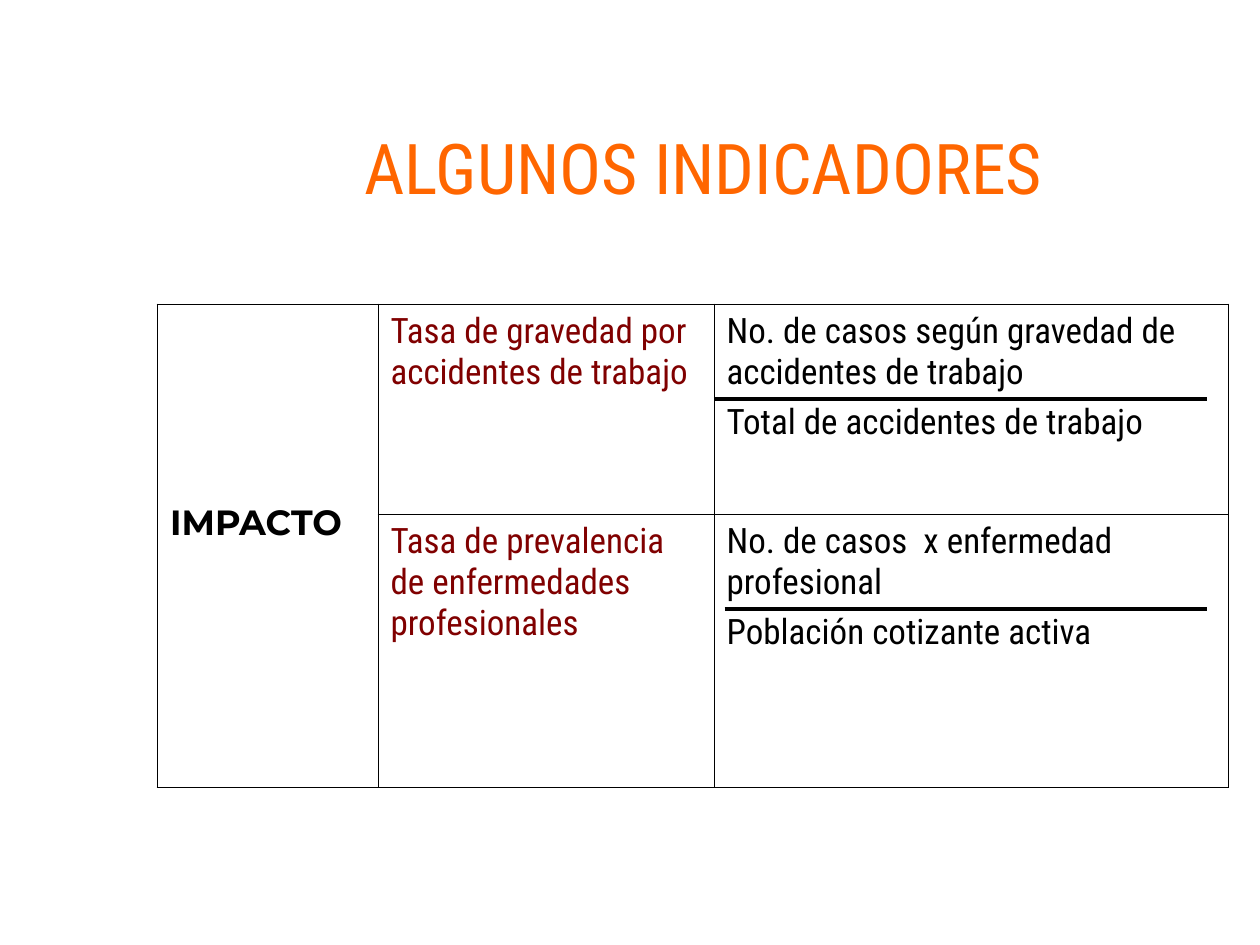
from dataclasses import dataclass

import pptx
import pptx.dml.color
import pptx.enum.shapes
import pptx.enum.text
import pptx.oxml
import pptx.oxml.ns
import pptx.util

Pt = pptx.util.Pt
ALIGN = pptx.enum.text.PP_ALIGN
ANCHOR = pptx.enum.text.MSO_ANCHOR

BODY_FONT = "Roboto Condensed"
LABEL_FONT = "Montserrat"
BLACK, MAROON, ORANGE = "000000", "800000", "FF6600"
OUTER_BORDER, INNER_BORDER = 1.08, 0.45
TABLE_LEFT, TABLE_TOP = 90, 174
COLUMN_WIDTHS = [126, 192, 294]
ROW_HEIGHTS = [120, 156]


@dataclass
class Indicator:
    name: str
    numerator: str
    denominator: str


@dataclass
class FractionBar:
    left: float
    right: float
    y: float


INDICATORS = [
    Indicator("Tasa de gravedad por accidentes de trabajo",
              "No. de casos según gravedad de accidentes de trabajo",
              "Total de accidentes de trabajo"),
    Indicator("Tasa de prevalencia de enfermedades profesionales",
              "No. de casos  x enfermedad profesional",
              "Población cotizante activa"),
]
FRACTION_BARS = [FractionBar(408, 690, 228), FractionBar(414, 690, 348)]


def color(value: str) -> pptx.dml.color.RGBColor:
    return pptx.dml.color.RGBColor.from_string(value)


def write(frame, *texts: str, font: str = BODY_FONT, size: float = 20,
          fill: str = BLACK, bold: bool = False, align=ALIGN.LEFT) -> None:
    """Write each text as one paragraph."""
    for index, text in enumerate(texts):
        paragraph = frame.add_paragraph() if index else frame.paragraphs[0]
        paragraph.alignment = align
        paragraph.space_before = Pt(5 if index else 0)
        run = paragraph.add_run()
        run.text = text
        run.font.name = font
        run.font.size = Pt(size)
        run.font.bold = bold
        run.font.color.rgb = color(fill)


def set_borders(cell, widths: dict[str, float]) -> None:
    properties = cell._tc.get_or_add_tcPr()
    for index, (side, width) in enumerate(widths.items()):
        properties.insert(index, pptx.oxml.parse_xml(
            f'<a:{side} {pptx.oxml.ns.nsdecls("a")} w="{int(Pt(width))}">'
            f'<a:solidFill><a:srgbClr val="{BLACK}"/></a:solidFill></a:{side}>'))


def add_indicator_table(slide) -> None:
    rows, columns = len(ROW_HEIGHTS), len(COLUMN_WIDTHS)
    table = slide.shapes.add_table(
        rows, columns, Pt(TABLE_LEFT), Pt(TABLE_TOP),
        Pt(sum(COLUMN_WIDTHS)), Pt(sum(ROW_HEIGHTS))).table
    table.first_row = table.horz_banding = False
    for column, width in zip(table.columns, COLUMN_WIDTHS):
        column.width = Pt(width)
    for row, height in zip(table.rows, ROW_HEIGHTS):
        row.height = Pt(height)

    # Outer edges are heavier than inner ones
    for r in range(rows):
        for c in range(columns):
            cell = table.cell(r, c)
            cell.fill.background()
            at_edge = {"lnL": c == 0, "lnR": c == columns - 1,
                       "lnT": r == 0, "lnB": r == rows - 1}
            set_borders(cell, {side: OUTER_BORDER if edge else INNER_BORDER
                               for side, edge in at_edge.items()})

    # Category label, a little above the middle of the merged cell
    category = table.cell(0, 0)
    category.merge(table.cell(rows - 1, 0))
    category.vertical_anchor = ANCHOR.MIDDLE
    category.margin_bottom = Pt(30)
    write(category.text_frame, "IMPACTO", font=LABEL_FONT, bold=True)

    # Indicators and their formulas
    for r, indicator in enumerate(INDICATORS):
        write(table.cell(r, 1).text_frame, indicator.name, fill=MAROON)
        write(table.cell(r, 2).text_frame,
              indicator.numerator, indicator.denominator)


def add_fraction_bar(slide, bar: FractionBar) -> None:
    connector = slide.shapes.add_connector(
        pptx.enum.shapes.MSO_CONNECTOR.STRAIGHT,
        Pt(bar.left), Pt(bar.y), Pt(bar.right), Pt(bar.y))
    connector.line.color.rgb = color(BLACK)
    connector.line.width = Pt(2.25)
    connector._element.spPr.append(pptx.oxml.parse_xml(
        f'<a:effectLst {pptx.oxml.ns.nsdecls("a")}/>'))


def main() -> None:
    presentation = pptx.Presentation()
    presentation.slide_width, presentation.slide_height = Pt(720), Pt(540)
    slide = presentation.slides.add_slide(presentation.slide_layouts[5])

    # Title
    title = slide.shapes.title
    title.left, title.top, title.width, title.height = (
        Pt(96), Pt(33), Pt(612), Pt(90))
    title.text_frame.vertical_anchor = ANCHOR.BOTTOM
    write(title.text_frame, "ALGUNOS INDICADORES", size=40, fill=ORANGE,
          align=ALIGN.CENTER)

    # Table and the bars of its fractions
    add_indicator_table(slide)
    for bar in FRACTION_BARS:
        add_fraction_bar(slide, bar)

    presentation.save("out.pptx")


if __name__ == "__main__":
    main()
